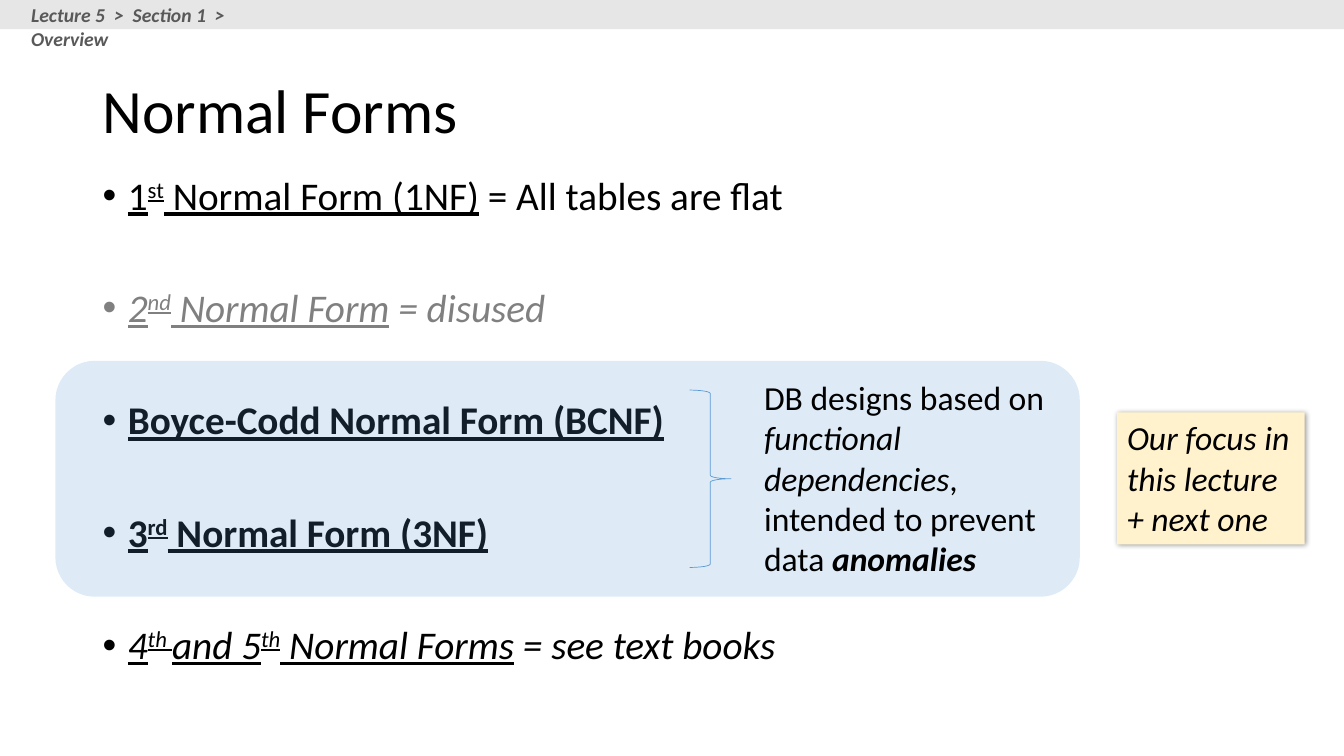
from lxml.etree import SubElement
from pptx import Presentation
from pptx.dml.color import RGBColor
from pptx.enum.shapes import MSO_SHAPE
from pptx.enum.text import MSO_ANCHOR, PP_ALIGN
from pptx.oxml.ns import qn
from pptx.util import Inches, Pt

BLACK = RGBColor(0x00, 0x00, 0x00)
GRAY = RGBColor(0x80, 0x80, 0x80)
DARK_GRAY = RGBColor(0x59, 0x59, 0x59)
BAR_GRAY = RGBColor(0xE7, 0xE6, 0xE6)
BLUE = RGBColor(0x5B, 0x9B, 0xD5)
CREAM = RGBColor(0xFF, 0xF2, 0xCC)

NORMAL_FORMS = [
    (BLACK, "", [("1", "u"), ("st", "u^"), (" Normal Form (1NF)", "u"),
                 (" = All tables are flat", "")]),
    (GRAY, "i", [("2", "u"), ("nd", "u^"), (" Normal Form", "u"),
                 (" = disused", "")]),
    (BLACK, "b", [("Boyce-Codd Normal Form (BCNF)", "u")]),
    (BLACK, "b", [("3", "u"), ("rd", "u^"), (" Normal Form (3NF)", "u")]),
    (BLACK, "i", [("4", "u"), ("th ", "u^"), ("and 5", "u"), ("th", "u^"),
                  (" Normal Forms", "u"), (" = see text books", "")]),
]


def add_run(p, text, size, color=BLACK, style=""):
    r = p.add_run()
    r.text = text
    r.font.name = "Calibri"
    r.font.size = Pt(size)
    r.font.color.rgb = color
    r.font.bold = "b" in style
    r.font.italic = "i" in style
    r.font.underline = "u" in style
    if "^" in style:
        r.font._element.set("baseline", "30000")


def add_text(s, x, y, w, h, anchor=MSO_ANCHOR.TOP):
    sp = s.shapes.add_textbox(Inches(x), Inches(y), Inches(w), Inches(h))
    tf = sp.text_frame
    tf.word_wrap = True
    tf.vertical_anchor = anchor
    return tf


def add_block(s, kind, x, y, w, h, fill=None):
    sp = s.shapes.add_shape(kind, Inches(x), Inches(y), Inches(w), Inches(h))
    sp.shadow.inherit = False
    sp.line.fill.background()
    if fill is None:
        sp.fill.background()
    else:
        sp.fill.solid()
        sp.fill.fore_color.rgb = fill
    return sp


def add_alpha(color, percent):
    SubElement(color, qn("a:alpha"), val=str(percent * 1000))


def add_title(s, x, y, w, h):
    p = add_text(s, x, y, w, h, MSO_ANCHOR.MIDDLE).paragraphs[0]
    p.line_spacing = 0.9
    add_run(p, "Normal Forms", 44)


def add_forms_list(s, x, y, w, h):
    tf = add_text(s, x, y, w, h)
    for i, (color, base, runs) in enumerate(NORMAL_FORMS):
        p = tf.add_paragraph() if i else tf.paragraphs[0]
        p.line_spacing = 0.9
        p.space_before = Pt(50 if i else 10)
        pPr = p._p.get_or_add_pPr()
        pPr.set("marL", str(Inches(0.25)))
        pPr.set("indent", str(-Inches(0.25)))
        SubElement(pPr, qn("a:buFont"), typeface="Arial")
        SubElement(pPr, qn("a:buChar"), char="•")
        for text, style in runs:
            add_run(p, text, 28, color, base + style)


def add_focus_panel(s, x, y, w, h):
    panel = add_block(s, MSO_SHAPE.ROUNDED_RECTANGLE, x, y, w, h, BLUE)
    add_alpha(panel.fill._xPr.find(".//" + qn("a:srgbClr")), 20)
    brace = add_block(s, MSO_SHAPE.RIGHT_BRACE, x + 6.29, y + 0.29, 0.41, h - 0.58)
    brace.line.color.rgb = BLUE
    brace.line.width = Pt(0.5)
    p = add_text(s, x + 6.93, y + 0.11, 3.13, h - 0.22).paragraphs[0]
    add_run(p, "DB designs based on ", 24)
    add_run(p, "functional dependencies", 24, style="i")
    add_run(p, ", intended to prevent data ", 24)
    add_run(p, "anomalies", 24, style="bi")


def add_focus_note(s, x, y, w, h):
    sp = add_block(s, MSO_SHAPE.RECTANGLE, x, y, w, h, CREAM)
    effects = sp._element.spPr.find(qn("a:effectLst"))
    shadow = SubElement(effects, qn("a:outerShdw"), blurRad=str(Pt(4)),
                        dist=str(Pt(1)), dir="2700000", algn="tl", rotWithShape="0")
    add_alpha(SubElement(shadow, qn("a:srgbClr"), val=str(BLACK)), 40)
    tf = sp.text_frame
    tf.word_wrap = True
    tf.vertical_anchor = MSO_ANCHOR.TOP
    p = tf.paragraphs[0]
    p.alignment = PP_ALIGN.LEFT
    add_run(p, "Our focus in this lecture + next one", 24, style="i")


def add_breadcrumb(s, x, y, w, h):
    add_block(s, MSO_SHAPE.RECTANGLE, x, y, w, h, BAR_GRAY)
    p = add_text(s, x + 0.21, y - 0.02, 2.92, 0.34).paragraphs[0]
    add_run(p, "Lecture 5  >  Section 1  >  Overview", 14, DARK_GRAY, "bi")


def main():
    prs = Presentation()
    prs.slide_width = Inches(13.33)
    prs.slide_height = Inches(7.5)
    s = prs.slides.add_slide(prs.slide_layouts[6])
    add_title(s, 0.92, 0.4, 11.5, 1.45)
    add_forms_list(s, 0.92, 1.7, 11.5, 5.06)
    add_focus_panel(s, 0.55, 3.58, 10.16, 2.34)
    add_focus_note(s, 11.08, 4.09, 1.86, 1.31)
    add_breadcrumb(s, 0, 0, 13.33, 0.29)
    prs.save("out.pptx")


if __name__ == "__main__":
    main()
